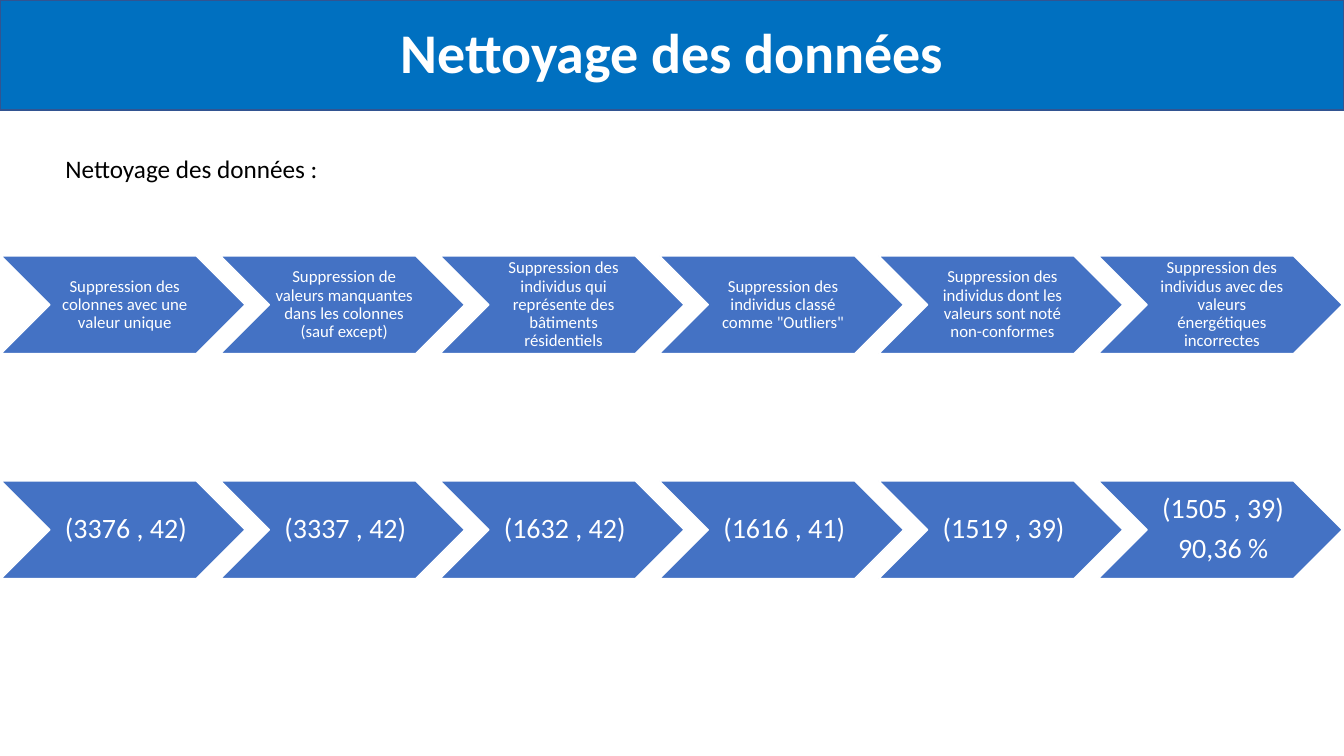
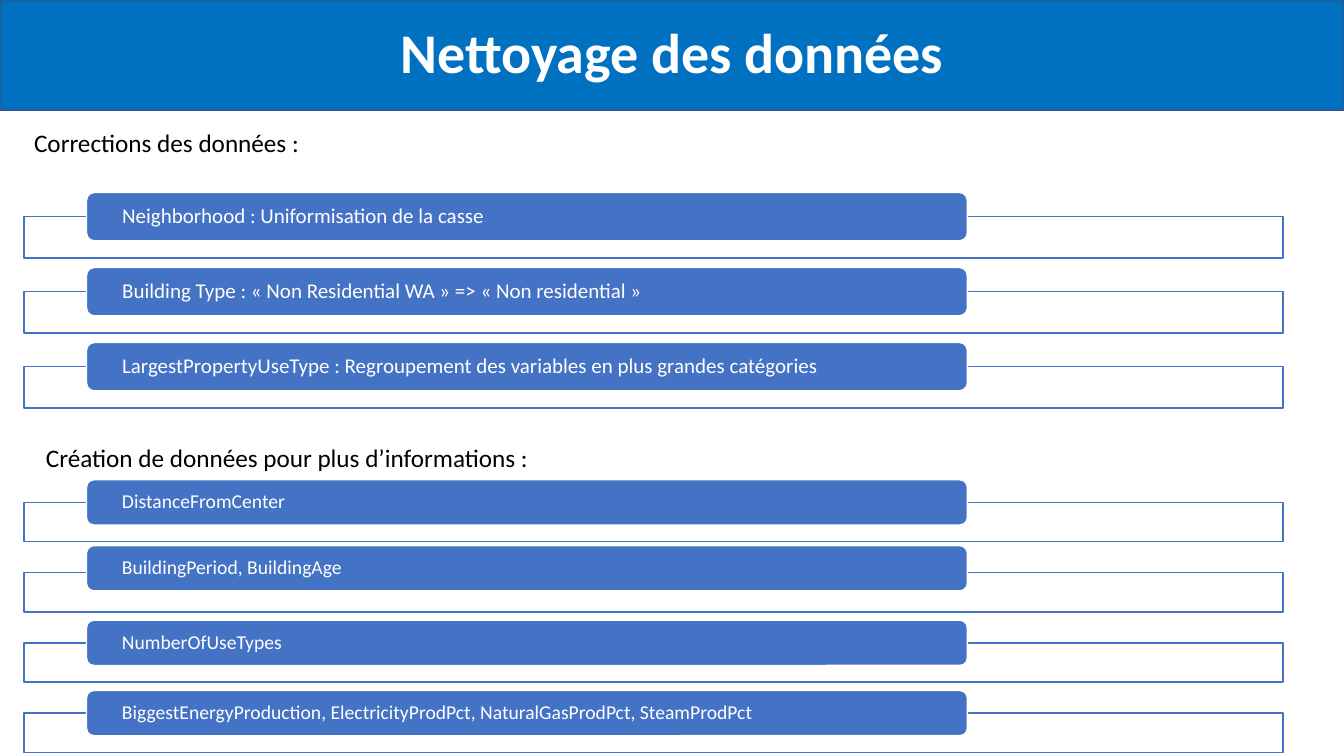
from pptx import Presentation
from pptx.dml.color import RGBColor
from pptx.enum.shapes import MSO_SHAPE
from pptx.enum.text import MSO_ANCHOR, MSO_AUTO_SIZE, PP_ALIGN
from pptx.util import Cm, Pt

CHEVRON = MSO_SHAPE.CHEVRON
RECTANGLE = MSO_SHAPE.RECTANGLE
ROUNDED = MSO_SHAPE.ROUNDED_RECTANGLE
MIDDLE = MSO_ANCHOR.MIDDLE
CENTER = PP_ALIGN.CENTER
LEFT = PP_ALIGN.LEFT

FONT = "Calibri"
COLORS = {
    "band": "0070C0",
    "band_line": "325491",
    "accent": "4472C4",
    "white": "FFFFFF",
    "black": "000000",
}
SLIDE_WIDTH = 33.87
SLIDE_HEIGHT = 19.05
TITLE_ONLY = 5

STEPS = [
    "Suppression des colonnes avec une valeur unique",
    "Suppression de valeurs manquantes dans les colonnes (sauf except)",
    "Suppression des individus qui représente des bâtiments résidentiels",
    "Suppression des individus classé comme \"Outliers\"",
    "Suppression des individus dont les valeurs sont noté non-conformes",
    "Suppression des individus avec des valeurs énergétiques incorrectes",
]
DIMENSIONS = [
    "(3376 , 42)",
    "(3337 , 42)",
    "(1632 , 42)",
    "(1616 , 41)",
    "(1519 , 39)",
    "(1505 , 39)\n90,36 %",
]
CORRECTIONS = [
    "Neighborhood : Uniformisation de la casse",
    "Building Type : « Non Residential WA » => « Non residential »",
    "LargestPropertyUseType : Regroupement des variables en plus grandes catégories",
]
NEW_FEATURES = [
    "DistanceFromCenter",
    "BuildingPeriod, BuildingAge",
    "NumberOfUseTypes",
    "BiggestEnergyProduction, ElectricityProdPct, NaturalGasProdPct, SteamProdPct",
]


def color(name):
    return RGBColor.from_string(COLORS[name])


def paint(shape, fill, line):
    shape.fill.solid()
    shape.fill.fore_color.rgb = color(fill)
    shape.line.color.rgb = color(line)
    shape.line.width = Pt(1)


def place(shape, left, top, width, height):
    shape.left, shape.top = Cm(left), Cm(top)
    shape.width, shape.height = Cm(width), Cm(height)


def write(text_frame, text, size, color_name, align=LEFT, bold=False):
    text_frame.word_wrap = True
    text_frame.text = text
    for paragraph in text_frame.paragraphs:
        paragraph.alignment = align
        for run in paragraph.runs:
            run.font.name = FONT
            run.font.size = Pt(size)
            run.font.bold = bold
            run.font.color.rgb = color(color_name)


def set_insets(text_frame, left, top, right, bottom):
    text_frame.margin_left, text_frame.margin_top = Cm(left), Cm(top)
    text_frame.margin_right, text_frame.margin_bottom = Cm(right), Cm(bottom)


def add_titled_slide(presentation, title_text):
    """Add a slide whose title placeholder is the full-width blue band."""
    slide = presentation.slides.add_slide(presentation.slide_layouts[TITLE_ONLY])
    title = slide.shapes.title
    place(title, 0, 0, SLIDE_WIDTH, 2.77)
    paint(title, "band", "band_line")
    text_frame = title.text_frame
    write(text_frame, title_text, 40, "white", CENTER, bold=True)
    text_frame.auto_size = MSO_AUTO_SIZE.NONE
    text_frame.vertical_anchor = MIDDLE
    set_insets(text_frame, 0.25, 0.13, 0.25, 0.33)
    return slide


def add_heading(slide, text, left, top, width=10.92):
    box = slide.shapes.add_textbox(Cm(left), Cm(top), Cm(width), Cm(1.02))
    write(box.text_frame, text, 18, "black")


def add_box(slide, kind, left, top, width, height, fill, line):
    shape = slide.shapes.add_shape(
        kind, Cm(left), Cm(top), Cm(width), Cm(height))
    shape.shadow.inherit = False
    paint(shape, fill, line)
    return shape


def fill_label(shape, text, size, insets, align=LEFT):
    """Write white, tightly spaced text in the middle of a shape."""
    text_frame = shape.text_frame
    write(text_frame, text, size, "white", align)
    text_frame.vertical_anchor = MIDDLE
    set_insets(text_frame, *insets)
    for paragraph in text_frame.paragraphs:
        paragraph.line_spacing = 0.9
        paragraph.space_after = Pt(0.35 * size)


def add_chevron_row(slide, texts, top, size, insets):
    for index, text in enumerate(texts):
        chevron = add_box(slide, CHEVRON, 0.03 + 5.53 * index, top, 6.15, 2.46,
                          "accent", "white")
        fill_label(chevron, text, size, insets, CENTER)


def add_framed_list(slide, texts, top, pitch, label_height, frame_height, size,
                    lifts=None):
    """Stack labels over frames; lifts maps a row to how far its label rises."""
    lifts = lifts or {}
    for index, text in enumerate(texts):
        row_top = top + pitch * index
        add_box(slide, RECTANGLE, 0.61, row_top + label_height / 2,
                31.72, frame_height, "white", "accent")
        label = add_box(slide, ROUNDED, 2.18, row_top - lifts.get(index, 0),
                        22.2, label_height, "accent", "white")
        fill_label(label, text, size, (0.84, 0, 0.84, 0))


def build_cleaning_slide(presentation):
    slide = add_titled_slide(presentation, "Nettoyage des données")
    add_chevron_row(slide, STEPS, 6.45, 12, (0.13, 0.05, 0.05, 0.05))
    add_chevron_row(slide, DIMENSIONS, 12.12, 20, (0.21, 0.07, 0.07, 0.07))
    add_heading(slide, "Nettoyage des données :", 1.4, 3.74)


def build_corrections_slide(presentation):
    slide = add_titled_slide(presentation, "Nettoyage des données")
    add_heading(slide, "Corrections des données :", 0.61, 3.08)
    add_framed_list(slide, CORRECTIONS, 4.85, 1.89, 1.22, 1.04, 15)
    add_heading(slide, "Création de données pour plus d’informations :",
                0.91, 11.03, width=12.9)
    add_framed_list(slide, NEW_FEATURES, 12.09, 1.77, 1.14, 0.99, 14,
                    lifts={1: 0.11})


def main():
    presentation = Presentation()
    presentation.slide_width = Cm(SLIDE_WIDTH)
    presentation.slide_height = Cm(SLIDE_HEIGHT)
    build_cleaning_slide(presentation)
    build_corrections_slide(presentation)
    presentation.save("out.pptx")


if __name__ == "__main__":
    main()
